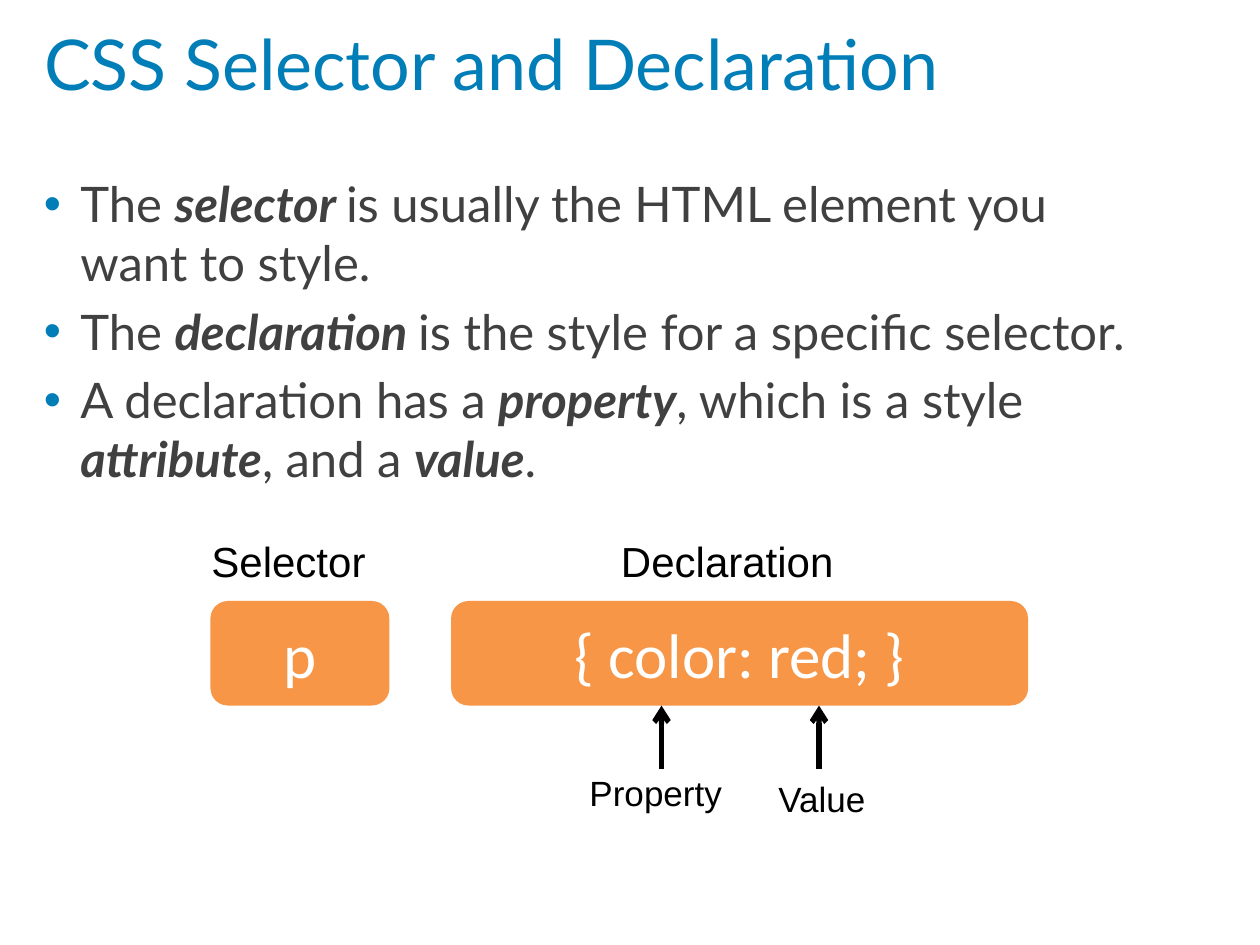
import pptx
import pptx.dml.color
import pptx.enum.shapes
import pptx.enum.text
import pptx.oxml
import pptx.util
from lxml import etree

RGBColor = pptx.dml.color.RGBColor
BLUE = RGBColor(0x01, 0x7E, 0xB8)
GRAY = RGBColor(0x40, 0x40, 0x40)
ORANGE = RGBColor(0xF7, 0x96, 0x46)
BLACK = RGBColor(0, 0, 0)
WHITE = RGBColor(255, 255, 255)

LEFT = PP_LEFT = pptx.enum.text.PP_ALIGN.LEFT
CENTER = pptx.enum.text.PP_ALIGN.CENTER
TOP = pptx.enum.text.MSO_ANCHOR.TOP
MIDDLE = pptx.enum.text.MSO_ANCHOR.MIDDLE

MARGIN, CONTENT_WIDTH = 0.25, 9
RULE_TOP, RULE_HEIGHT = 4.77, 0.83
RULE_BOTTOM = RULE_TOP + RULE_HEIGHT
HEADING_TOP = 4.2

# Words between asterisks are bold italic
POINTS = [
    "The *selector *is usually the HTML element you want to style.",
    "The *declaration *is the style for a specific selector.",
    "A declaration has a *property*, which is a style *attribute*, and a *value*.",
]
# Text, left, width
RULE_PARTS = [("p", 1.67, 1.42), ("{ color: red; }", 3.58, 4.58)]
HEADINGS = [("Selector", 1.58, 1.5), ("Declaration", 4.83, 2.08)]
# Text, left, top, width, height, arrow position
CALLOUTS = [
    ("Property", 4.58, 6.07, 1.25, 0.44, 5.25),
    ("Value", 6.08, 6.12, 1, 0.36, 6.5),
]


def inches(*lengths):
    return [pptx.util.Inches(length) for length in lengths]


def write(shape, paragraphs, font="Arial", size=24, color=BLACK,
          align=LEFT, anchor=TOP, space_before=0):
    frame = shape.text_frame
    frame.word_wrap = True
    frame.auto_size = pptx.enum.text.MSO_AUTO_SIZE.NONE
    frame.vertical_anchor = anchor
    for index, content in enumerate(paragraphs):
        paragraph = frame.add_paragraph() if index else frame.paragraphs[0]
        paragraph.alignment = align
        paragraph.space_before = pptx.util.Pt(space_before)
        for position, words in enumerate(content.split("*")):
            run = paragraph.add_run()
            run.text = words
            run.font.name = font
            run.font.size = pptx.util.Pt(size)
            run.font.color.rgb = color
            run.font.bold = run.font.italic = position % 2 == 1
    return frame


def add_label(slide, text, left, top, width, height, **text_format):
    box = slide.shapes.add_textbox(*inches(left, top, width, height))
    write(box, [text], **text_format)


def add_bullets(slide, points):
    box = slide.shapes.add_textbox(*inches(MARGIN, 1.33, CONTENT_WIDTH, 5.2))
    frame = write(box, points, font="Lato", size=28, color=GRAY, space_before=5.6)
    indent = pptx.util.Inches(0.29)
    for paragraph in frame.paragraphs:
        properties = paragraph._p.get_or_add_pPr()
        properties.set("marL", str(indent))
        properties.set("indent", str(-indent))
        bullet_color = etree.SubElement(properties, pptx.oxml.ns.qn("a:buClr"))
        etree.SubElement(bullet_color, pptx.oxml.ns.qn("a:srgbClr"), val=str(BLUE))
        etree.SubElement(properties, pptx.oxml.ns.qn("a:buFont"), typeface="Arial")
        etree.SubElement(properties, pptx.oxml.ns.qn("a:buChar"), char="•")


def add_rule_part(slide, text, left, width):
    part = slide.shapes.add_shape(
        pptx.enum.shapes.MSO_SHAPE.ROUNDED_RECTANGLE,
        *inches(left, RULE_TOP, width, RULE_HEIGHT))
    part.shadow.inherit = False
    part.fill.solid()
    part.fill.fore_color.rgb = ORANGE
    part.line.fill.background()
    write(part, [text], font="Calibri", size=36, color=WHITE,
          align=CENTER, anchor=MIDDLE)


def add_up_arrow(slide, x, bottom, top):
    arrow = slide.shapes.add_connector(
        pptx.enum.shapes.MSO_CONNECTOR.STRAIGHT, *inches(x, bottom, x, top))
    arrow.line.color.rgb = BLACK
    arrow.line.width = pptx.util.Pt(3)
    etree.SubElement(arrow.line._get_or_add_ln(), pptx.oxml.ns.qn("a:tailEnd"),
                     type="arrow")
    etree.SubElement(arrow._element.spPr, pptx.oxml.ns.qn("a:effectLst"))


def main():
    deck = pptx.Presentation()
    deck.slide_width, deck.slide_height = inches(10, 7.5)
    slide = deck.slides.add_slide(deck.slide_layouts[5])

    # Title and explanation
    title = slide.shapes.title
    title.left, title.top, title.width, title.height = inches(
        MARGIN, 0, CONTENT_WIDTH, 1)
    write(title, ["CSS Selector and Declaration"], font="Lato", size=40,
          color=BLUE, anchor=MIDDLE)
    add_bullets(slide, POINTS)

    # Example rule with its headings
    for text, left, width in RULE_PARTS:
        add_rule_part(slide, text, left, width)
    for text, left, width in HEADINGS:
        add_label(slide, text, left, HEADING_TOP, width, 0.51)

    # Callouts under the declaration
    for text, left, top, width, height, arrow_x in CALLOUTS:
        add_label(slide, text, left, top, width, height, size=20)
        add_up_arrow(slide, arrow_x, RULE_BOTTOM + 0.5, RULE_BOTTOM)

    deck.save("out.pptx")


if __name__ == "__main__":
    main()
